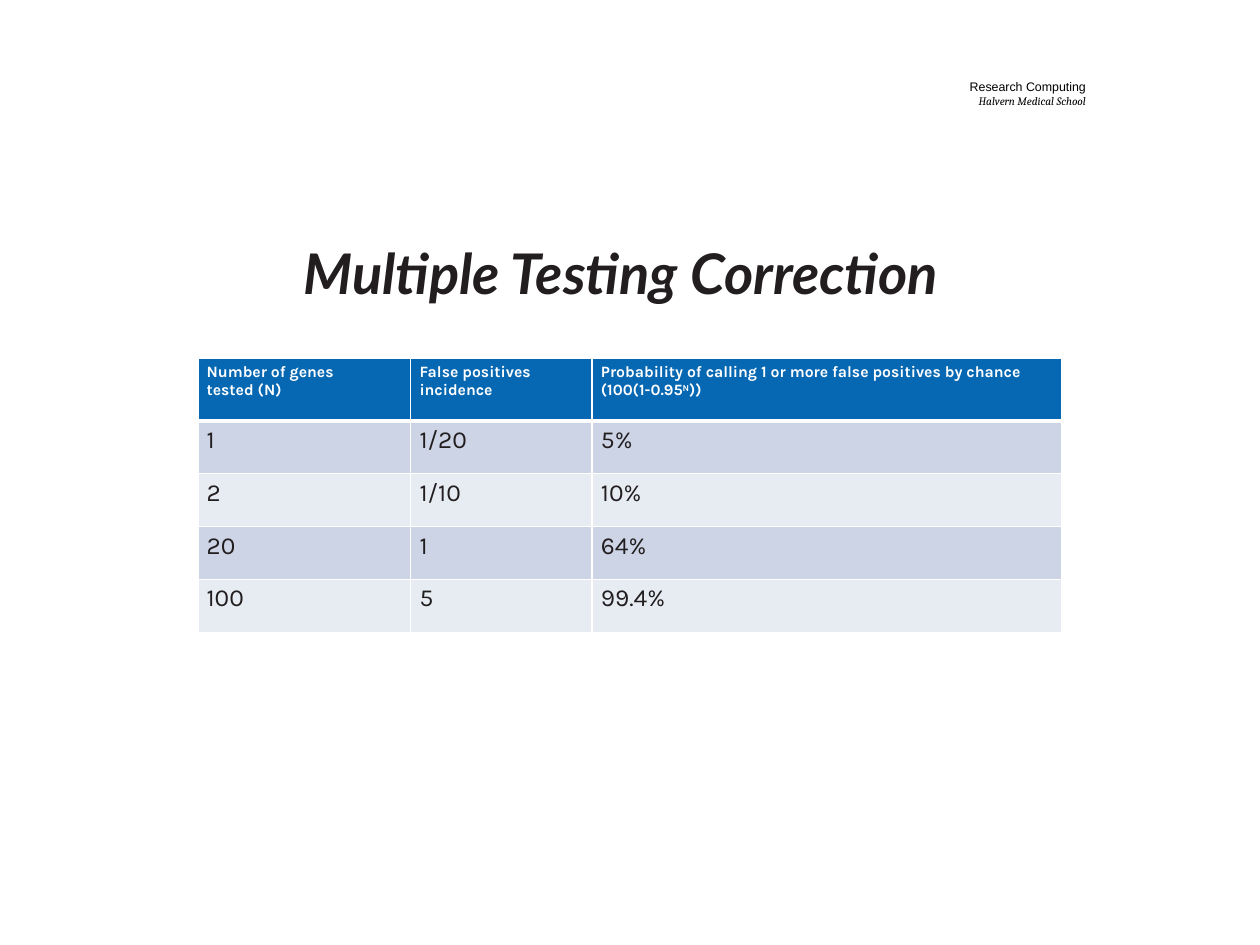
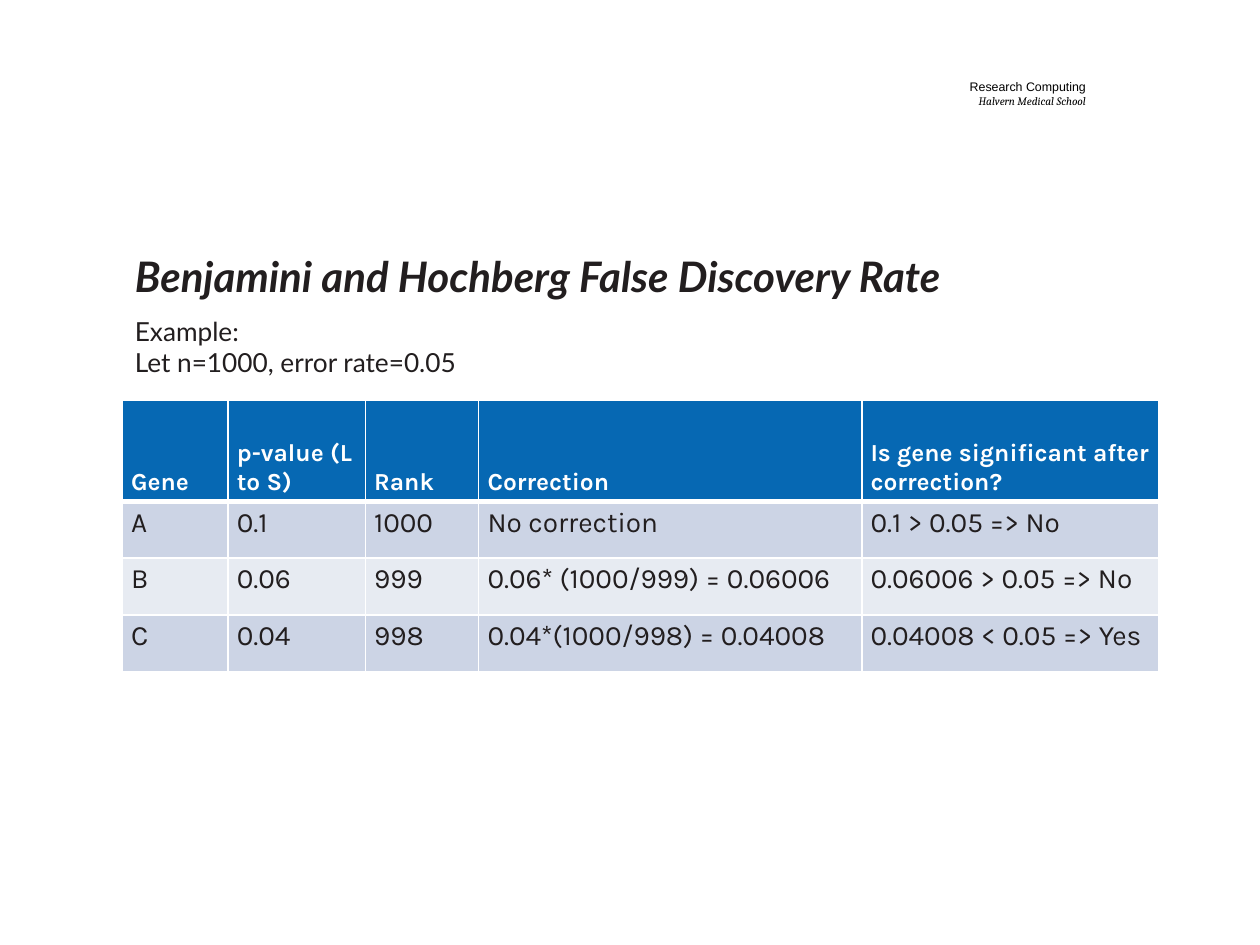
from dataclasses import dataclass

from lxml import etree
from pptx import Presentation
from pptx.dml.color import RGBColor
from pptx.enum.text import MSO_ANCHOR, MSO_AUTO_SIZE, PP_ALIGN
from pptx.oxml.ns import qn
from pptx.util import Inches, Pt

TOP, MID, LOW = MSO_ANCHOR.TOP, MSO_ANCHOR.MIDDLE, MSO_ANCHOR.BOTTOM
LEFT, MIDDLE, RIGHT = PP_ALIGN.LEFT, PP_ALIGN.CENTER, PP_ALIGN.RIGHT
NO_FIT = MSO_AUTO_SIZE.NONE


@dataclass(frozen=True)
class Style:
    font: str
    size: float
    color: str
    bold: bool = False
    slant: bool = False


class Theme:
    ink, white, black = "221E1F", "FFFFFF", "000000"
    head = "0668B3"
    bands = ("CCD4E5", "E7EBF2")
    thin, thick = 1, 3
    inset = (0.1, 0.05)
    tight = (0.06, 0.03)
    cell = (0.07, 0.04)
    unit = Style("Arial", 7.1, black)
    school = Style("Cambria", 6.5, black, slant=True)
    big = Style("Lato", 32, ink, True, True)
    title = Style("Lato", 24, ink, True, True)
    body = Style("Lato", 15, ink)
    small_head = Style("Karla", 9, white, True)
    large_head = Style("Karla", 14, white, True)
    small_cell = Style("Karla", 14, ink)
    large_cell = Style("Karla", 16, ink)


BRAND = {"box": (6.15, 0.41, 2.53, 0.66),
         "lines": [("Research Computing", Theme.unit),
                   ("Halvern Medical School", Theme.school)]}

SLIDES = [
    {
        "layout": 5,
        "title": "Multiple Testing Correction",
        "box": (1.18, 1.84, 7.5, 0.64),
        "style": Theme.big, "align": MIDDLE, "before": 0,
        "table": {
            "at": (1.57, 2.84),
            "cols": (1.69, 1.44, 3.73),
            "head_high": 0.5, "row_high": 0.42,
            "anchor": TOP,
            "head_style": Theme.small_head, "cell_style": Theme.small_cell,
            "head": [
                ["Number of genes", "tested (N)"],
                ["False positives", "incidence"],
                [("Probability of calling 1 or more false positives by chance "
                  "(100(1-0.95", "^N", "))")],
            ],
            "rows": [
                ("1", "1/20", "5%"),
                ("2", "1/10", "10%"),
                ("20", "1", "64%"),
                ("100", "5", "99.4%"),
            ],
        },
    },
    {
        "layout": 1,
        "title": "Benjamini and Hochberg False Discovery Rate",
        "box": (0.97, 1.94, 8.09, 0.5),
        "style": Theme.title, "align": LEFT, "before": 4.5,
        "body": ["Example:", "Let n=1000, error rate=0.05"],
        "body_box": (0.97, 2.45, 3.47, 0.61),
        "table": {
            "at": (0.97, 3.18),
            "cols": (0.84, 1.09, 0.9, 3.04, 2.36),
            "head_high": 0.8, "row_high": 0.45,
            "anchor": LOW,
            "head_style": Theme.large_head, "cell_style": Theme.large_cell,
            "head": [["Gene"], ["p-value (L to S)"], ["Rank"], ["Correction"],
                     ["Is gene significant after correction?"]],
            "rows": [
                ("A", "0.1", "1000", "No correction", "0.1 > 0.05 => No"),
                ("B", "0.06", "999", "0.06* (1000/999) = 0.06006",
                 "0.06006 > 0.05 => No"),
                ("C", "0.04", "998", "0.04*(1000/998) = 0.04008",
                 "0.04008 < 0.05 => Yes"),
            ],
        },
    },
]


def add_run(para, text, style):
    run = para.add_run()
    run.text = text.lstrip("^")
    font = run.font
    font.name, font.size = style.font, Pt(style.size)
    font.bold, font.italic = style.bold, style.slant
    font.color.rgb = RGBColor.from_string(style.color)
    if text.startswith("^"):
        run._r.get_or_add_rPr().set("baseline", "30000")


def write(frame, lines, align=LEFT, before=0):
    for i, (line, style) in enumerate(lines):
        para = frame.add_paragraph() if i else frame.paragraphs[0]
        para.alignment = align
        para.space_before = Pt(before)
        for part in (line,) if isinstance(line, str) else line:
            add_run(para, part, style)


def set_pad(item, pad):
    item.margin_left = item.margin_right = Inches(pad[0])
    item.margin_top = item.margin_bottom = Inches(pad[1])


def set_box(shape, box, anchor=TOP, pad=Theme.inset):
    shape.left, shape.top, shape.width, shape.height = map(Inches, box)
    frame = shape.text_frame
    frame.word_wrap = True
    frame.auto_size = NO_FIT
    frame.vertical_anchor = anchor
    set_pad(frame, pad)
    return frame


def drop_bullets(frame):
    for para in frame.paragraphs:
        props = para._p.get_or_add_pPr()
        props.set("marL", "0")
        props.set("indent", "0")
        etree.SubElement(props, qn("a:buNone"))


def set_edges(cell, row):
    props = cell._tc.get_or_add_tcPr()
    wide = {"lnT": row == 1, "lnB": row == 0}
    for i, side in enumerate(("lnL", "lnR", "lnT", "lnB")):
        width = Theme.thick if wide.get(side) else Theme.thin
        line = etree.Element(qn("a:" + side), w=str(Pt(width)))
        fill = etree.SubElement(line, qn("a:solidFill"))
        etree.SubElement(fill, qn("a:srgbClr"), val=Theme.white)
        props.insert(i, line)


def add_grid(slide, data):
    rows = [data["head"]] + [[[text] for text in row] for row in data["rows"]]
    highs = [data["head_high"]] + [data["row_high"]] * len(data["rows"])
    size = (sum(data["cols"]), sum(highs))
    grid = slide.shapes.add_table(len(rows), len(data["cols"]),
                                  *map(Inches, data["at"] + size)).table
    grid.first_row = grid.horz_banding = False
    for col, width in zip(grid.columns, data["cols"]):
        col.width = Inches(width)
    for r, (row, high) in enumerate(zip(rows, highs)):
        grid.rows[r].height = Inches(high)
        top = r == 0
        style = data["head_style"] if top else data["cell_style"]
        color = Theme.head if top else Theme.bands[(r - 1) % 2]
        for c, lines in enumerate(row):
            cell = grid.cell(r, c)
            set_pad(cell, Theme.cell)
            cell.vertical_anchor = data["anchor"] if top else TOP
            cell.fill.solid()
            cell.fill.fore_color.rgb = RGBColor.from_string(color)
            set_edges(cell, r)
            write(cell.text_frame, [(line, style) for line in lines])


def add_brand(slide):
    shape = slide.shapes.add_textbox(*map(Inches, BRAND["box"]))
    frame = set_box(shape, BRAND["box"], MID, Theme.tight)
    write(frame, BRAND["lines"], RIGHT)


def add_slide(deck, data):
    slide = deck.slides.add_slide(deck.slide_layouts[data["layout"]])
    add_brand(slide)
    frame = set_box(slide.shapes.title, data["box"])
    write(frame, [(data["title"], data["style"])],
          data["align"], data["before"])
    if "body" in data:
        frame = set_box(slide.placeholders[1], data["body_box"])
        write(frame, [(line, Theme.body) for line in data["body"]])
        drop_bullets(frame)
    add_grid(slide, data["table"])


def main():
    deck = Presentation()
    deck.slide_width, deck.slide_height = Inches(10), Inches(7.5)
    for data in SLIDES:
        add_slide(deck, data)
    deck.save("out.pptx")


if __name__ == "__main__":
    main()
